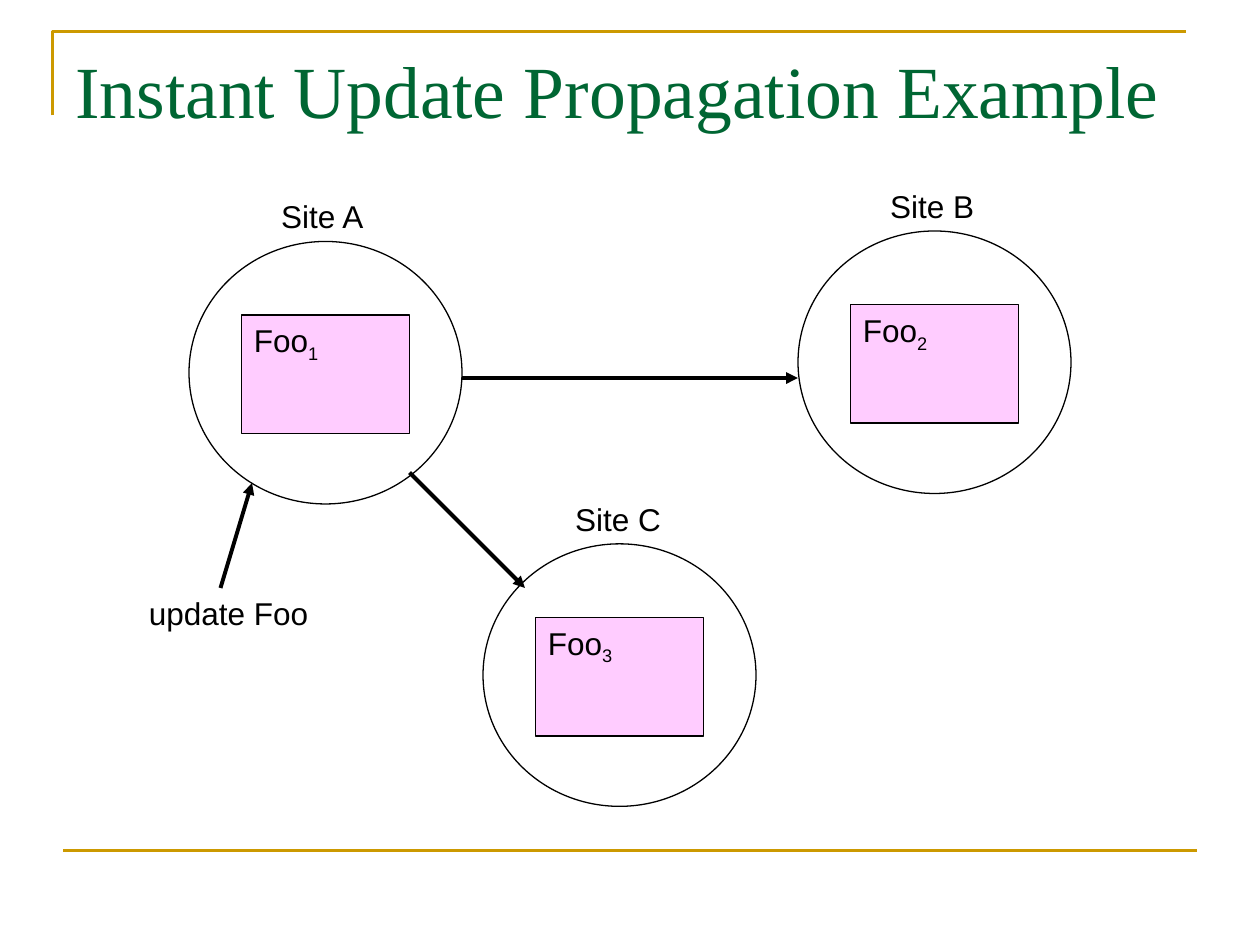
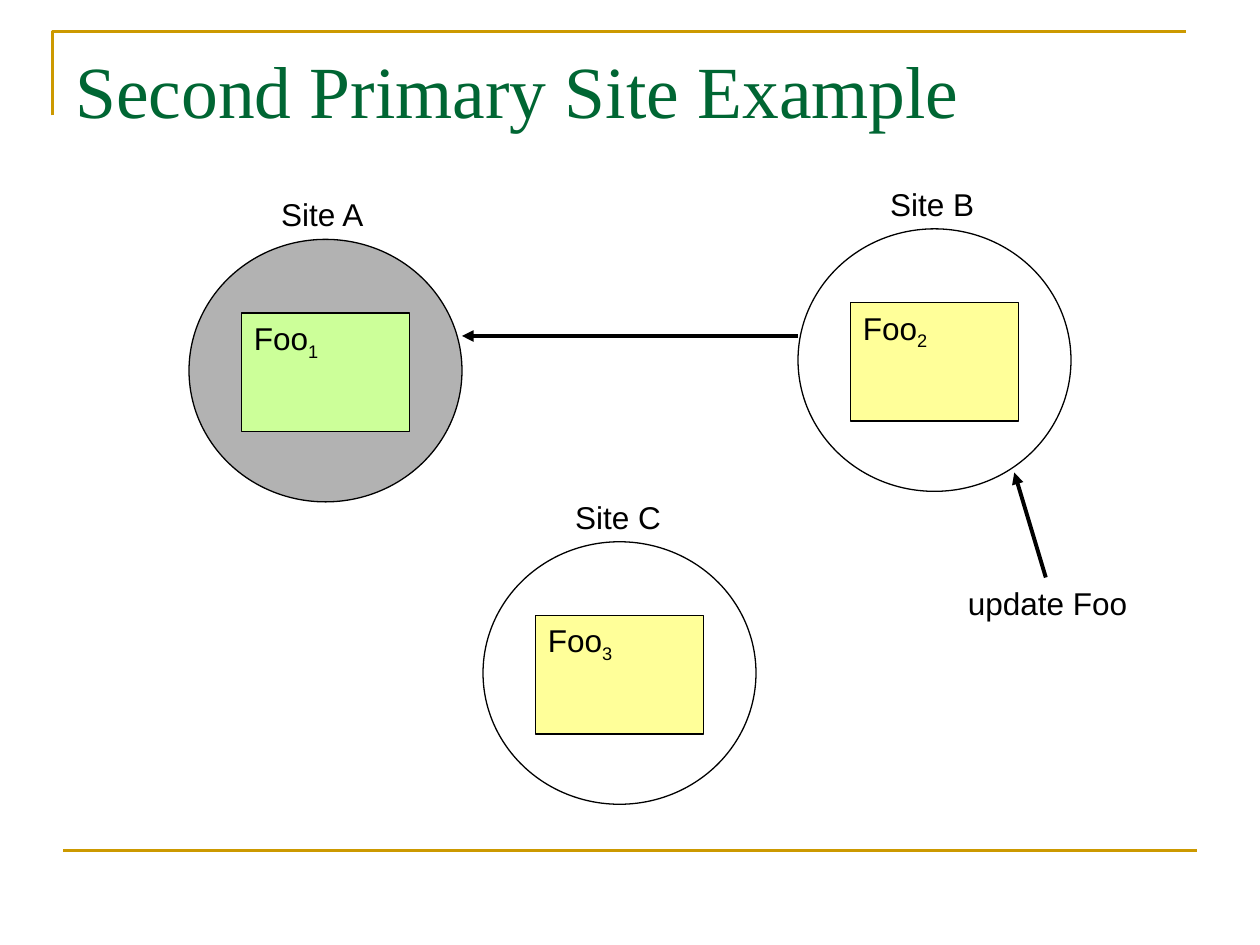
from dataclasses import dataclass

from lxml import etree
from pptx import Presentation
from pptx.dml.color import RGBColor
from pptx.enum.shapes import MSO_CONNECTOR, MSO_SHAPE
from pptx.enum.text import MSO_ANCHOR, PP_ALIGN
from pptx.oxml.ns import qn
from pptx.shapes.autoshape import Shape
from pptx.shapes.connector import Connector
from pptx.slide import Slide
from pptx.util import Emu, Pt

EMU_PER_PX = 7620
STRAIGHT = MSO_CONNECTOR.STRAIGHT
OVAL = MSO_SHAPE.OVAL
RECTANGLE = MSO_SHAPE.RECTANGLE
TOP = MSO_ANCHOR.TOP
LEFT = PP_ALIGN.LEFT

BODY_FONT = "Arial"
TITLE_FONT = "Times New Roman"
COLORS = {
    "frame": "CC9900",
    "title": "006633",
    "ink": "000000",
    "offline": "B2B2B2",
    "pink": "FFCCFF",
    "green": "CCFF99",
    "yellow": "FFFF99",
}

Point = tuple[int, int]
SITE_ORIGINS: dict[str, Point] = {"A": (180, 230), "B": (760, 220), "C": (460, 518)}
SITE_SIZE = (260, 250)
LABEL_OFFSET = (76, -48)
LABEL_SIZE = (110, 48)
COPY_OFFSET = (50, 70)
COPY_SIZE = (160, 113)
UPDATE_SIZE = (180, 48)


@dataclass(frozen=True)
class Site:
    name: str
    copy_number: str
    copy_color: str
    site_color: str | None = None


@dataclass(frozen=True)
class Arrow:
    start: Point
    end: Point


@dataclass(frozen=True)
class Diagram:
    title: str
    sites: list[Site]
    arrows: list[Arrow]
    update_origin: Point
    vertical_shift: int = 0


DIAGRAMS = [
    Diagram(
        title="Instant Update Propagation Example",
        sites=[Site("A", "1", "pink"), Site("B", "2", "pink"), Site("C", "3", "pink")],
        arrows=[
            Arrow((440, 360), (760, 360)),
            Arrow((390, 450), (500, 560)),
            Arrow((210, 560), (240, 460)),
        ],
        update_origin=(130, 560),
    ),
    Diagram(
        title="Second Primary Site Example",
        sites=[
            Site("A", "1", "green", "offline"),
            Site("B", "2", "yellow"),
            Site("C", "3", "yellow"),
        ],
        arrows=[Arrow((996, 550), (966, 450)), Arrow((760, 320), (440, 320))],
        update_origin=(910, 550),
        vertical_shift=-2,
    ),
]


def px(value: int) -> Emu:
    return Emu(value * EMU_PER_PX)


def color(name: str) -> RGBColor:
    return RGBColor.from_string(COLORS[name])


def box(origin: Point, size: Point) -> list[Emu]:
    return [px(value) for value in (*origin, *size)]


def shifted(origin: Point, offset: Point) -> Point:
    return origin[0] + offset[0], origin[1] + offset[1]


def style_shape(shape: Shape, fill: str | None, line: str, width: float) -> None:
    shape.shadow.inherit = False
    if fill:
        shape.fill.solid()
        shape.fill.fore_color.rgb = color(fill)
    else:
        shape.fill.background()
    shape.line.color.rgb = color(line)
    shape.line.width = Pt(width)


def format_text(
    shape: Shape, size: int = 18, font: str = BODY_FONT, ink: str = "ink", wrap: bool = False
) -> None:
    text_frame = shape.text_frame
    text_frame.word_wrap = wrap
    text_frame.vertical_anchor = TOP
    for paragraph in text_frame.paragraphs:
        paragraph.alignment = LEFT
        for run in paragraph.runs:
            run.font.size = Pt(size)
            run.font.name = font
            run.font.color.rgb = color(ink)


def add_text(slide: Slide, text: str, origin: Point, size: Point) -> Shape:
    shape = slide.shapes.add_textbox(*box(origin, size))
    shape.text_frame.text = text
    format_text(shape)
    return shape


def add_line(slide: Slide, start: Point, end: Point, line: str, width: float) -> Connector:
    connector = slide.shapes.add_connector(STRAIGHT, *map(px, (*start, *end)))
    connector.line.color.rgb = color(line)
    connector.line.width = Pt(width)
    etree.SubElement(connector._element.spPr, qn("a:effectLst"))
    return connector


def add_arrow(slide: Slide, arrow: Arrow) -> None:
    connector = add_line(slide, arrow.start, arrow.end, "ink", 2.25)
    line = connector._element.spPr.find(qn("a:ln"))
    etree.SubElement(line, qn("a:tailEnd"), type="triangle")


def add_frame(slide: Slide, title: str) -> None:
    builder = slide.shapes.build_freeform(px(50), px(110))
    builder.add_line_segments([(px(50), px(30)), (px(1130), px(30))], close=False)
    style_shape(builder.convert_to_shape(), None, "frame", 1.5)
    add_line(slide, (60, 810), (1140, 810), "frame", 1.5)
    heading = add_text(slide, title, (60, 37), (1080, 150))
    format_text(heading, 42, TITLE_FONT, "title", wrap=True)


def add_site(slide: Slide, site: Site, origin: Point) -> None:
    circle = slide.shapes.add_shape(OVAL, *box(origin, SITE_SIZE))
    style_shape(circle, site.site_color, "ink", 0.75)
    add_text(slide, f"Site {site.name}", shifted(origin, LABEL_OFFSET), LABEL_SIZE)

    data_copy = slide.shapes.add_shape(RECTANGLE, *box(shifted(origin, COPY_OFFSET), COPY_SIZE))
    style_shape(data_copy, site.copy_color, "ink", 0.75)
    paragraph = data_copy.text_frame.paragraphs[0]
    paragraph.text = "Foo"
    subscript = paragraph.add_run()
    subscript.text = site.copy_number
    format_text(data_copy, wrap=True)
    subscript.font._element.set("baseline", "-25000")


def add_diagram(slide: Slide, diagram: Diagram) -> None:
    add_frame(slide, diagram.title)
    for site in diagram.sites:
        add_site(slide, site, shifted(SITE_ORIGINS[site.name], (0, diagram.vertical_shift)))
    for arrow in diagram.arrows:
        add_arrow(slide, arrow)
    add_text(slide, "update Foo", diagram.update_origin, UPDATE_SIZE)


def main() -> None:
    presentation = Presentation()
    presentation.slide_width = px(1200)
    presentation.slide_height = px(900)
    blank_layout = presentation.slide_layouts[6]
    for diagram in DIAGRAMS:
        add_diagram(presentation.slides.add_slide(blank_layout), diagram)
    presentation.save("out.pptx")


if __name__ == "__main__":
    main()
